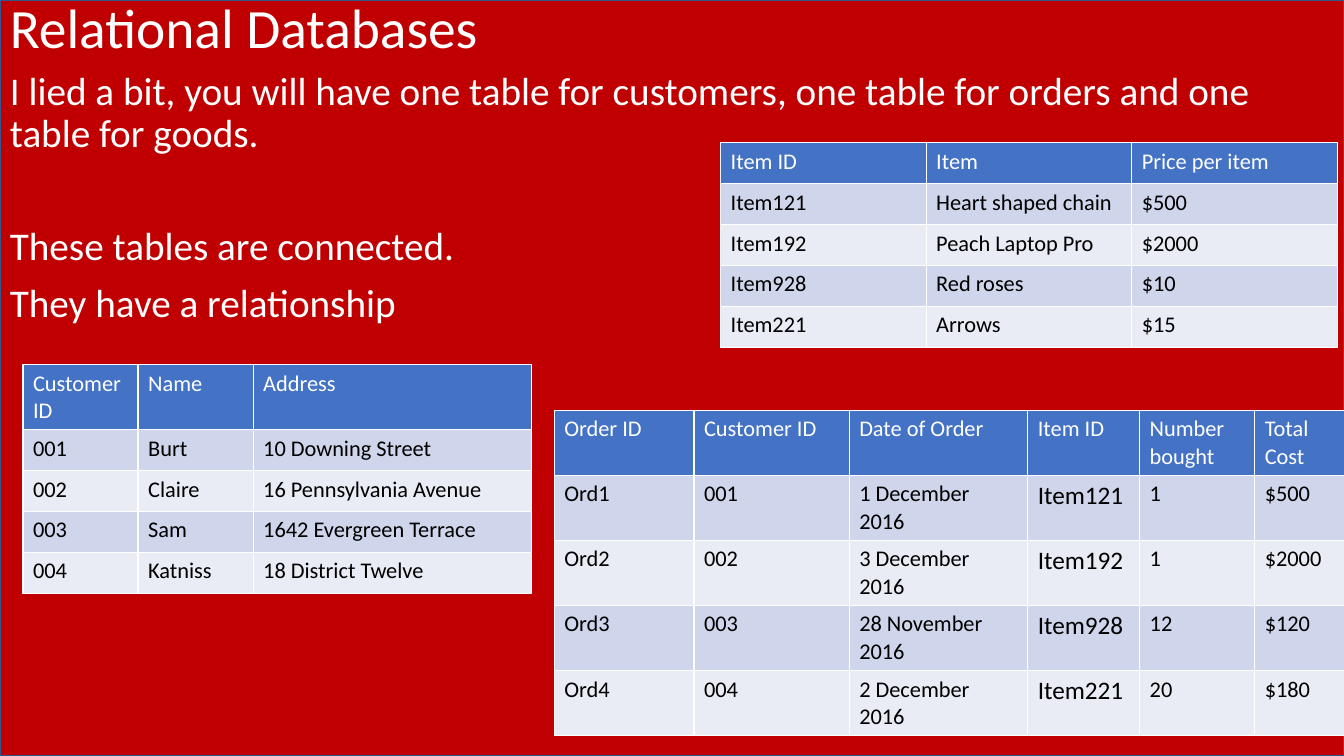
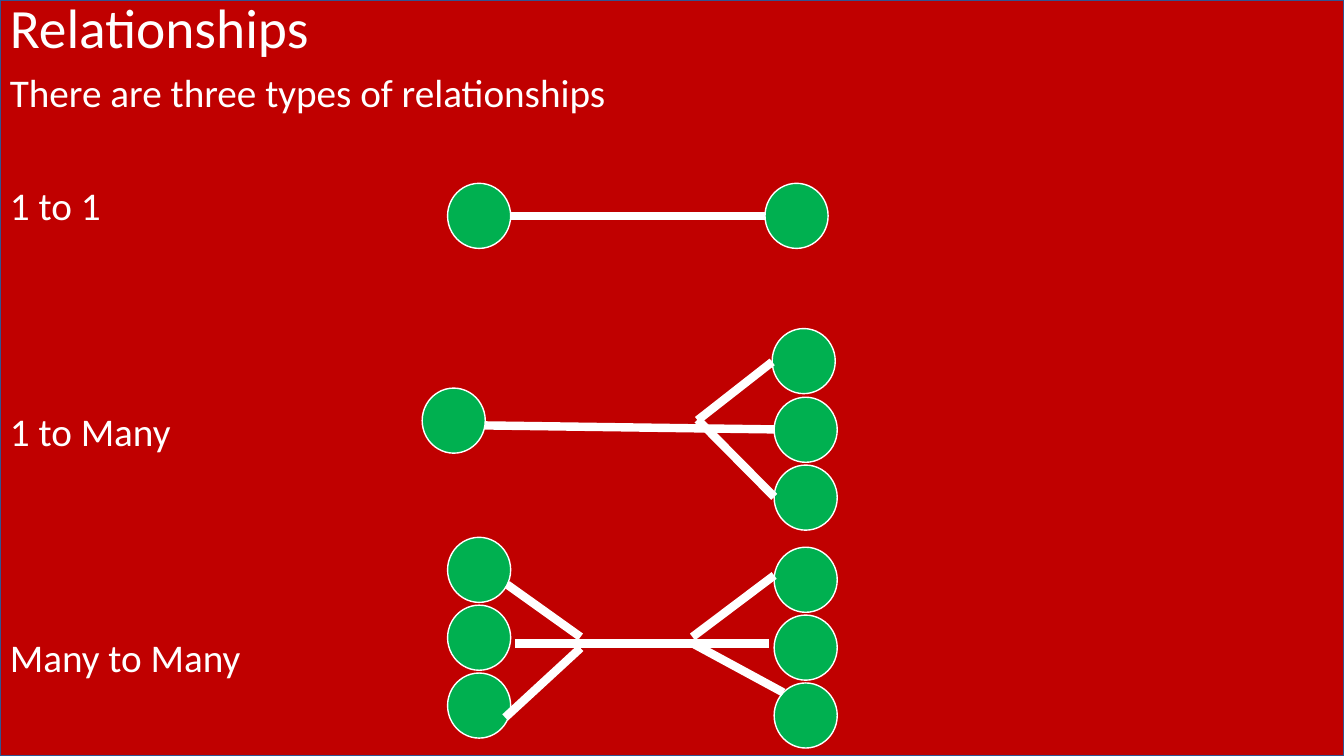
import pptx
import pptx.dml.color
import pptx.enum.shapes
import pptx.enum.text
import pptx.oxml
import pptx.oxml.ns
import pptx.util
from pptx.util import Cm, Pt

RGBColor = pptx.dml.color.RGBColor
RED = RGBColor(0xC0, 0x00, 0x00)
EDGE = RGBColor(0x32, 0x54, 0x91)
WHITE = RGBColor(0xFF, 0xFF, 0xFF)
BLACK = RGBColor(0x00, 0x00, 0x00)
GREEN = RGBColor(0x00, 0xB0, 0x50)
HEADER = RGBColor(0x44, 0x72, 0xC4)
BANDS = [RGBColor(0xE9, 0xEB, 0xF5), RGBColor(0xCF, 0xD5, 0xEA)]
FONT = "Calibri"
WIDTH, HEIGHT = Cm(33.87), Cm(19.05)
BODY_STEP = 40.4  # points from one body line to the next

deck = pptx.Presentation()
deck.slide_width, deck.slide_height = WIDTH, HEIGHT


def add_shape(page, kind, left, top, width, height, fill, edge):
    shape = page.shapes.add_shape(kind, left, top, width, height)
    shape.shadow.inherit = False
    shape.fill.solid()
    shape.fill.fore_color.rgb = fill
    shape.line.color.rgb = edge
    shape.line.width = Pt(1)


def style_text(para, size, color):
    for span in para.runs:
        span.font.name = FONT
        span.font.size = Pt(size)
        span.font.bold = False
        span.font.color.rgb = color


# Shared frame: background, title and body; each body line has its skipped lines
contents = [
    ("Relational Databases", 1.68, [
        ("I lied a bit, you will have one table for customers, one table for "
         "orders and one table for goods.", 0),
        ("These tables are connected.", 1),
        ("They have a relationship", 0)]),
    ("Relationships", 1.73, [
        ("There are three types of relationships", 0),
        ("1 to 1", 1),
        ("1 to Many", 3),
        ("Many to Many", 3)]),
]
pages = []
for title, body_top, lines in contents:
    page = deck.slides.add_slide(deck.slide_layouts[6])
    pages.append(page)
    add_shape(page, pptx.enum.shapes.MSO_SHAPE.RECTANGLE,
              0, 0, WIDTH, HEIGHT, RED, EDGE)

    box = page.shapes.add_textbox(0, 0, WIDTH, Cm(1.55))
    box.text_frame.word_wrap = True
    box.text_frame.vertical_anchor = pptx.enum.text.MSO_ANCHOR.MIDDLE
    box.text_frame.text = title
    box.text_frame.paragraphs[0].line_spacing = 0.9
    style_text(box.text_frame.paragraphs[0], 39.6, WHITE)

    box = page.shapes.add_textbox(0, Cm(body_top), WIDTH, HEIGHT - Cm(body_top))
    box.text_frame.word_wrap = True
    box.text_frame.text = "\n".join(text for text, skipped in lines)
    for para, (text, skipped) in zip(box.text_frame.paragraphs, lines):
        para.line_spacing = 0.9
        para.space_before = Pt(10 + skipped * BODY_STEP)
        style_text(para, 28, WHITE)

database_page, relationship_page = pages

# Tables: left, top, column widths, header height, row height, rows
tables = [
    (0.58, 9.19, [2.9, 2.9, 7.01], 1.64, 1.03, [
        ["Customer ID", "Name", "Address"],
        ["001", "Burt", "10 Downing Street"],
        ["002", "Claire", "16 Pennsylvania Avenue"],
        ["003", "Sam", "1642 Evergreen Terrace"],
        ["004", "Katniss", "18 District Twelve"]]),
    (18.16, 3.6, [5.18, 5.18, 5.18], 1.03, 1.03, [
        ["Item ID", "Item", "Price per item"],
        ["Item121", "Heart shaped chain", "$500"],
        ["Item192", "Peach Laptop Pro", "$2000"],
        ["Item928", "Red roses", "$10"],
        ["Item221", "Arrows", "$15"]]),
    (13.97, 10.34, [3.52, 3.91, 4.5, 2.82, 2.9, 2.26], 1.64, 1.64, [
        ["Order ID", "Customer ID", "Date of Order", "Item ID",
         "Number bought", "Total Cost"],
        ["Ord1", "001", "1 December 2016", "Item121", "1", "$500"],
        ["Ord2", "002", "3 December 2016", "Item192", "1", "$2000"],
        ["Ord3", "003", "28 November 2016", "Item928", "12", "$120"],
        ["Ord4", "004", "2 December 2016", "Item221", "20", "$180"]]),
]
for left, top, widths, header_height, row_height, rows in tables:
    heights = [header_height] + [row_height] * (len(rows) - 1)
    table = database_page.shapes.add_table(
        len(rows), len(widths), Cm(left), Cm(top),
        Cm(sum(widths)), Cm(sum(heights))).table
    for column, width in zip(table.columns, widths):
        column.width = Cm(width)
    for number, row in enumerate(rows):
        table.rows[number].height = Cm(heights[number])
        for place, text in enumerate(row):
            cell = table.cell(number, place)
            cell.text = text
            cell.fill.solid()
            cell.fill.fore_color.rgb = BANDS[number % 2] if number else HEADER
            # Item numbers in the order rows are larger
            large = number and rows[0][place] == "Item ID" and place > 0
            style_text(cell.text_frame.paragraphs[0], 18 if large else 16,
                       BLACK if number else WHITE)

# Stacks of circles: left, top, count
stacks = [
    (11.28, 4.62, 1), (19.28, 4.62, 1),
    (10.64, 9.78, 1), (19.46, 8.28, 1), (19.51, 10.01, 2),
    (11.28, 13.54, 3), (19.51, 13.79, 3),
]
for left, top, count in stacks:
    for number in range(count):
        add_shape(relationship_page, pptx.enum.shapes.MSO_SHAPE.OVAL,
                  Cm(left), Cm(top + 1.71 * number), Cm(1.59), Cm(1.64),
                  GREEN, WHITE)

# Links between the circles: start x, start y, end x, end y
links = [
    # 1 to 1
    (12.88, 5.44, 19.28, 5.44),
    # 1 to many
    (12.22, 10.72, 19.51, 10.82),
    (17.58, 10.59, 19.46, 9.12),
    (17.58, 10.57, 19.51, 12.52),
    # Many to many
    (12.98, 16.21, 19.38, 16.21),
    (17.45, 16.05, 19.51, 14.5),
    (12.73, 18.08, 14.63, 16.33),
    (12.78, 14.73, 14.63, 16.05),
    (19.74, 17.45, 17.45, 16.21),
]
for ends in links:
    link = relationship_page.shapes.add_connector(
        pptx.enum.shapes.MSO_CONNECTOR.STRAIGHT, *[Cm(end) for end in ends])
    link.line.color.rgb = WHITE
    link.line.width = Pt(6)
    link._element.spPr.append(pptx.oxml.parse_xml(
        "<a:effectLst %s/>" % pptx.oxml.ns.nsdecls("a")))

deck.save("out.pptx")
